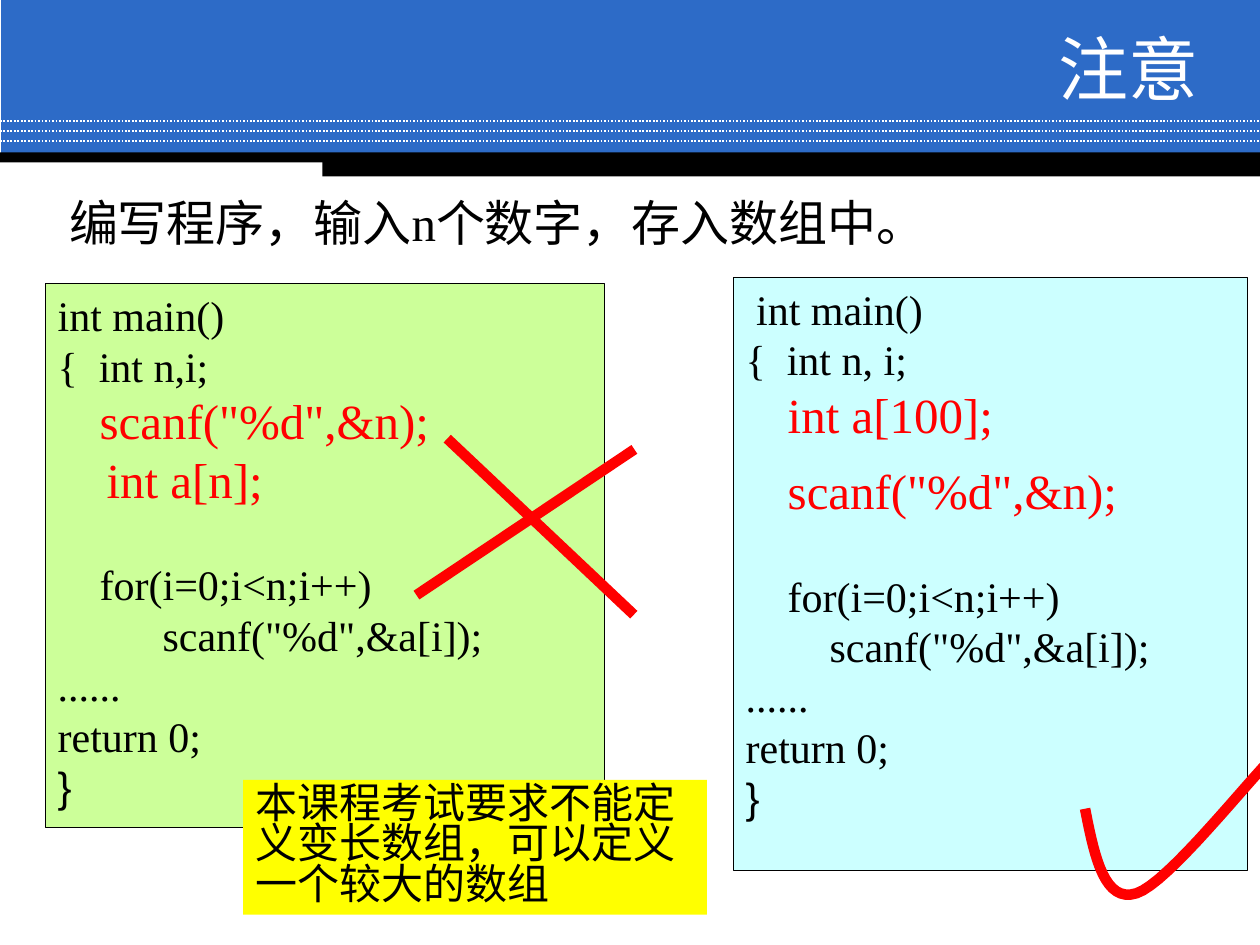
from dataclasses import dataclass

from lxml.etree import SubElement
from pptx import Presentation
from pptx.dml.color import RGBColor
from pptx.enum.dml import MSO_LINE_DASH_STYLE as Dash
from pptx.enum.shapes import MSO_CONNECTOR as Connector, MSO_SHAPE as Shape
from pptx.enum.text import MSO_ANCHOR as Anchor, MSO_AUTO_SIZE as AutoSize, PP_ALIGN as Align
from pptx.oxml.ns import qn
from pptx.util import Inches, Pt

# The slide is a grid of square cells
COLUMNS, ROWS = 100, 75
CELL = Inches(10) // COLUMNS


@dataclass(frozen=True)
class Theme:
    blue: str = "2D6BC7"
    black: str = "000000"
    white: str = "FFFFFF"
    red: str = "FF0000"
    green: str = "CCFF99"
    cyan: str = "CCFFFF"
    yellow: str = "FFFF00"
    title: int = 40
    large: int = 28
    body: int = 24
    serif: str = "Times New Roman"
    sans: str = "Arial"
    chinese: str = "Noto Sans CJK SC"
    tight: float = 0.8
    mark_width: int = 6


THEME = Theme()


@dataclass(frozen=True)
class Area:
    left: float
    top: float
    width: float
    height: float

    def lengths(self) -> list[int]:
        return [cells(n) for n in (self.left, self.top, self.width, self.height)]


@dataclass(frozen=True)
class CodeLine:
    text: str
    marked: str = ""
    before: int = 0
    font: str = THEME.serif


@dataclass(frozen=True)
class Listing:
    area: Area
    fill: str
    lines: tuple[CodeLine, ...]


def cells(count: float) -> int:
    return round(count * CELL)


def color(value: str) -> RGBColor:
    return RGBColor.from_string(value)


def add_span(para, text: str, size: int, fill: str = THEME.black, font: str = THEME.serif) -> None:
    span = para.add_run()
    span.text = text
    span.font.size = Pt(size)
    span.font.name = font
    span.font.color.rgb = color(fill)
    SubElement(span.font._element, qn("a:ea"), typeface=THEME.chinese)


def add_block(page, area: Area, fill: str, outline: str | None = None):
    box = page.shapes.add_shape(Shape.RECTANGLE, *area.lengths())
    box.shadow.inherit = False
    box.fill.solid()
    box.fill.fore_color.rgb = color(fill)
    if outline:
        box.line.color.rgb = color(outline)
        box.line.width = Pt(0.75)
    else:
        box.line.fill.background()
    return box


def style_mark(shape) -> None:
    shape.line.color.rgb = color(THEME.red)
    shape.line.width = Pt(THEME.mark_width)
    shape.line._get_or_add_ln().set("cap", "sq")


def add_line(page, start: tuple, end: tuple):
    line = page.shapes.add_connector(Connector.STRAIGHT, *map(cells, start + end))
    line.line.width = Pt(1)
    SubElement(line._element.spPr, qn("a:effectLst"))
    return line


def write_paragraph(box, text: str, size: int, fill: str = THEME.black, font: str = THEME.serif) -> None:
    frame = box.text_frame
    frame.word_wrap = True
    frame.vertical_anchor = Anchor.TOP
    para = frame.paragraphs[0]
    para.alignment = Align.LEFT
    para.line_spacing = THEME.tight
    para.space_before = Pt(0)
    add_span(para, text, size, fill, font)


def add_listing(page, listing: Listing) -> None:
    box = add_block(page, listing.area, listing.fill, THEME.black)
    frame = box.text_frame
    frame.word_wrap = True
    frame.vertical_anchor = Anchor.TOP
    for number, line in enumerate(listing.lines):
        para = frame.add_paragraph() if number else frame.paragraphs[0]
        para.alignment = Align.LEFT
        para.line_spacing = 1.0
        para.space_before = Pt(line.before)
        if line.text:
            add_span(para, line.text, THEME.body, font=line.font)
        if line.marked:
            add_span(para, line.marked, THEME.large, THEME.red)


def curve_points(start: tuple, curves: tuple, steps: int = 16) -> list[tuple]:
    points = [start]
    for first, second, end in curves:
        origin = points[-1]
        for step in range(1, steps + 1):
            t = step / steps
            weights = ((1 - t) ** 3, 3 * t * (1 - t) ** 2, 3 * t * t * (1 - t), t ** 3)
            corners = (origin, first, second, end)
            points.append(tuple(sum(w * c[axis] for w, c in zip(weights, corners)) for axis in (0, 1)))
    return points


def add_tick(page, start: tuple, curves: tuple) -> None:
    points = [tuple(map(cells, point)) for point in curve_points(start, curves)]
    builder = page.shapes.build_freeform(*points[0])
    builder.add_line_segments(points[1:], close=False)
    tick = builder.convert_to_shape()
    tick.shadow.inherit = False
    tick.fill.background()
    style_mark(tick)


INDENT = " " * 4
LOOP = CodeLine("    for(i=0;i<n;i++)", before=29)
ENDING = (
    CodeLine("......"),
    CodeLine("return 0;"),
    CodeLine("}", font=THEME.sans),
)

WRONG = Listing(Area(3.6, 22.5, 44.4, 43.2), THEME.green, (
    CodeLine("int main()"),
    CodeLine("{  int n,i;"),
    CodeLine(INDENT, "scanf(\"%d\",&n);"),
    CodeLine("", "    int a[n];"),
    LOOP,
    CodeLine("          scanf(\"%d\",&a[i]);"),
) + ENDING)

RIGHT = Listing(Area(58.2, 22, 40.8, 47.1), THEME.cyan, (
    CodeLine(" int main()"),
    CodeLine("{  int n, i;"),
    CodeLine(INDENT, "int a[100];"),
    CodeLine(INDENT, "scanf(\"%d\",&n);", before=10),
    LOOP,
    CodeLine("        scanf(\"%d\",&a[i]);"),
) + ENDING)


def main() -> None:
    deck = Presentation()
    deck.slide_width, deck.slide_height = cells(COLUMNS), cells(ROWS)
    page = deck.slides.add_slide(deck.slide_layouts[5])

    # Header band with dotted rules and a stepped black edge
    add_block(page, Area(0.1, 0, 99.9, 12.3), THEME.blue)
    for number in range(3):
        row = 9.6 + 0.8 * number
        rule = add_line(page, (0, row), (COLUMNS, row))
        rule.line.color.rgb = color(THEME.white)
        rule.line.dash_style = Dash.ROUND_DOT
    add_block(page, Area(0, 12.1, COLUMNS, 0.8), THEME.black)
    add_block(page, Area(25.6, 12.4, 74.4, 1.6), THEME.black)

    # Title, brought in front of the band
    title = page.shapes.title
    title.left, title.top, title.width, title.height = Area(83, 2.8, 15, 6.3).lengths()
    title.text_frame.auto_size = AutoSize.NONE
    write_paragraph(title, "注意", THEME.title, THEME.white, THEME.chinese)
    page.shapes._spTree.append(title._element)

    # Task
    task = page.shapes.add_textbox(*Area(4.5, 15.7, 78.4, 5.7).lengths())
    write_paragraph(task, "编写程序，输入n个数字，存入数组中。", THEME.large)

    # Wrong code with a cross, right code with a tick
    add_listing(page, WRONG)
    for start, end in (((50, 35.9), (33.4, 47)), ((35.8, 35.1), (50, 48.5))):
        style_mark(add_line(page, start, end))
    add_listing(page, RIGHT)
    add_tick(page, (86.2, 64.6), (
        ((86.9, 68.1), (87.7, 71.7), (90.2, 70.9)),
        ((92.7, 70.1), (99.2, 61.8), (101.2, 59.9)),
        ((103.1, 57.9), (102.6, 58.5), (102, 59.1)),
    ))

    # Exam note
    note = add_block(page, Area(19.3, 61.9, 36.8, 10.7), THEME.yellow)
    write_paragraph(note, "本课程考试要求不能定义变长数组，可以定义一个较大的数组", THEME.body)

    deck.save("out.pptx")


if __name__ == "__main__":
    main()
